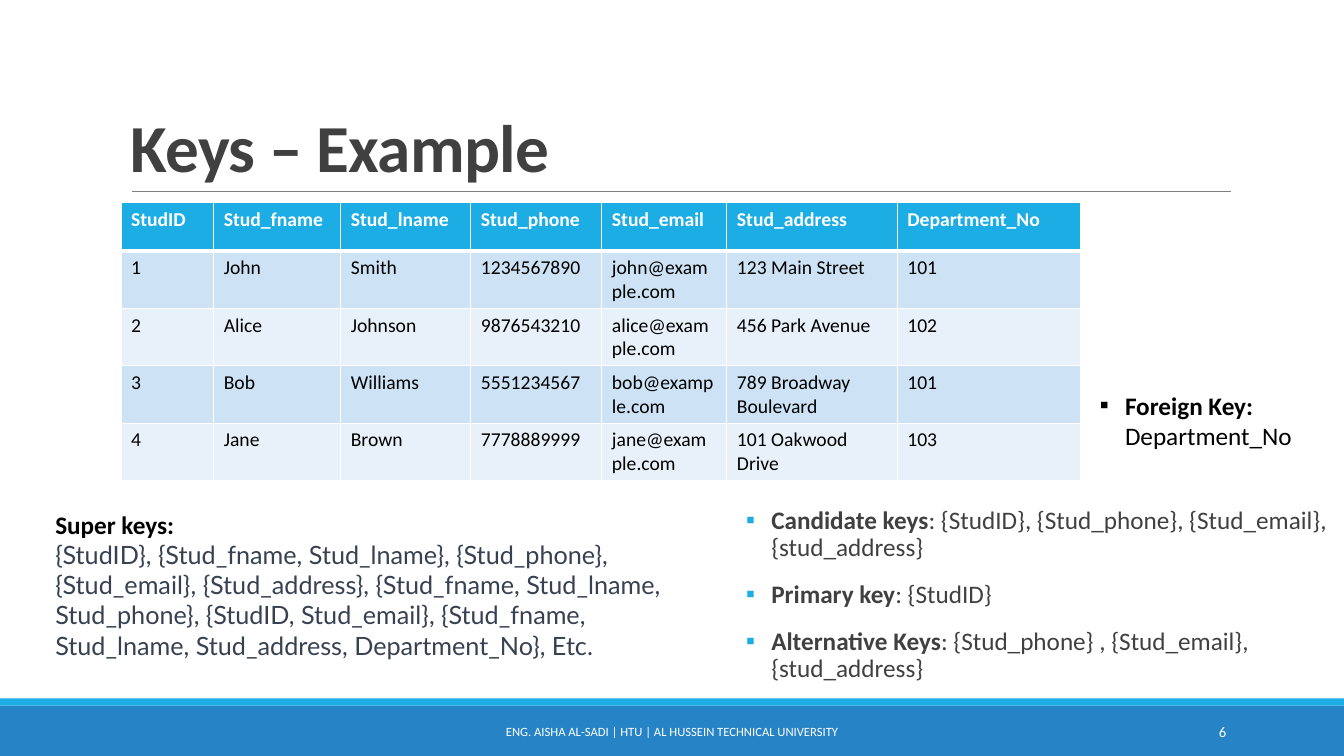
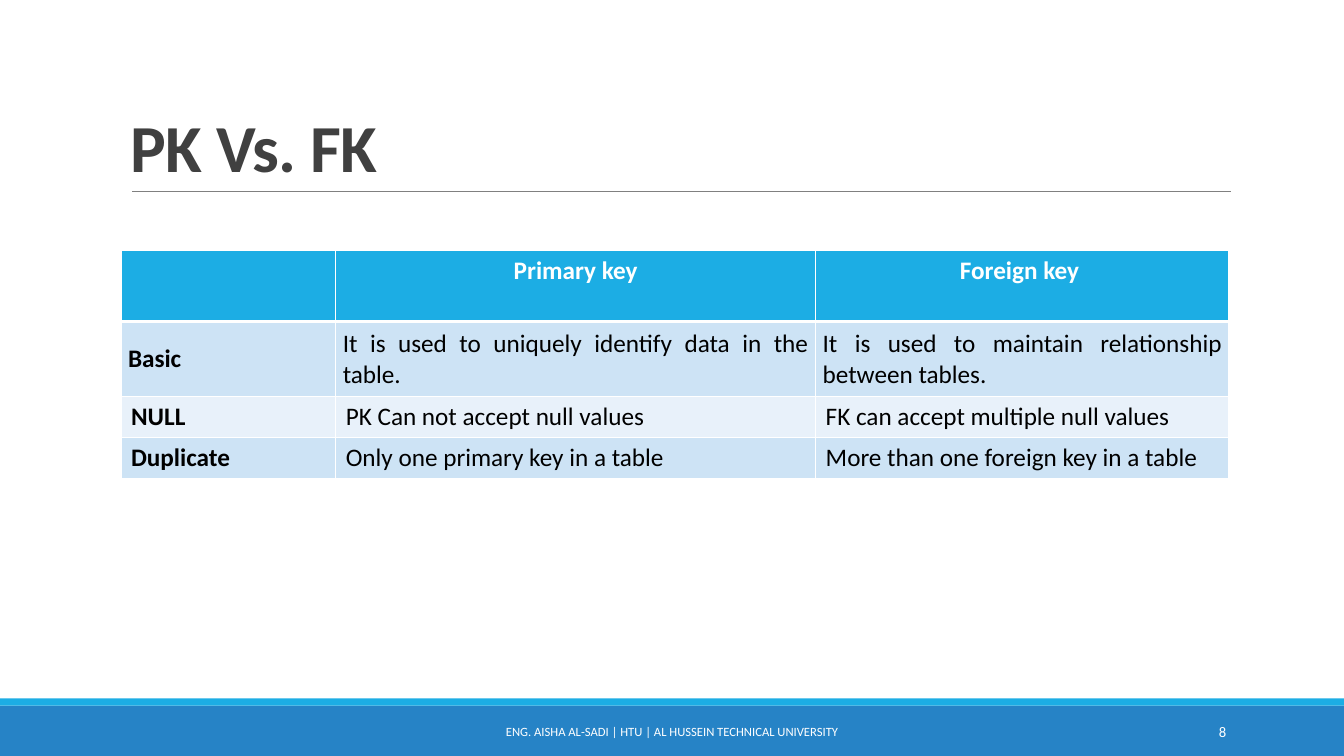
from lxml.etree import SubElement
from pptx import Presentation
from pptx.dml.color import RGBColor
from pptx.enum.shapes import MSO_CONNECTOR as Connector, MSO_SHAPE as Shape
from pptx.enum.text import MSO_ANCHOR as Anchor, PP_ALIGN as Align
from pptx.oxml import parse_xml
from pptx.oxml.ns import nsdecls, qn
from pptx.util import Inches, Pt

COLORS = {
    "blue": "2683C6",
    "cyan": "1CADE4",
    "rule": "808080",
    "title": "404040",
    "slate": "374151",
    "black": "000000",
    "white": "FFFFFF",
    "band_dark": "CDE3F5",
    "band_light": "E8F1FA",
}
FONT = "Calibri"
FOOTER = "ENG. AISHA AL-SADI | HTU | AL HUSSEIN TECHNICAL UNIVERSITY"
WIDTH, HEIGHT = 13.33, 7.5


def color(name):
    return RGBColor.from_string(COLORS[name])


def add_span(para, text, size=18, font=FONT, fill="black", bold=False, tracking=None):
    span = para.add_run()
    span.text = text
    span.font.size = Pt(size)
    span.font.name = font
    span.font.bold = bold
    span.font.color.rgb = color(fill)
    if tracking is not None:
        span._r.get_or_add_rPr().set("spc", str(int(tracking * 100)))


def add_bullet(para, fill):
    props = para._p.get_or_add_pPr()
    props.set("marL", str(Inches(0.25)))
    props.set("indent", str(Inches(-0.25)))
    tint = SubElement(props, qn("a:buClr"))
    SubElement(tint, qn("a:srgbClr")).set("val", COLORS[fill])
    SubElement(props, qn("a:buFont")).set("typeface", FONT)
    SubElement(props, qn("a:buChar")).set("char", "▪")


def add_text(page, box, paras, anchor=Anchor.TOP, align=Align.LEFT, side_inset=0.1,
             line=None, before=None, after=None, bullet=None, **style):
    frame = page.shapes.add_textbox(*map(Inches, box)).text_frame
    frame.word_wrap = True
    frame.vertical_anchor = anchor
    frame.margin_left = frame.margin_right = Inches(side_inset)
    for index, spans in enumerate(paras):
        para = frame.add_paragraph() if index else frame.paragraphs[0]
        para.alignment = align
        if line:
            para.line_spacing = line
        if before is not None:
            para.space_before, para.space_after = Pt(before), Pt(after)
        if bullet:
            add_bullet(para, bullet)
        for text, changes in spans:
            add_span(para, text, **{**style, **changes})


def add_band(page, box, fill):
    band = page.shapes.add_shape(Shape.RECTANGLE, *map(Inches, box))
    band.shadow.inherit = False
    band.fill.solid()
    band.fill.fore_color.rgb = color(fill)
    band.line.fill.background()


def add_rule(page, left, right, top):
    rule = page.shapes.add_connector(Connector.STRAIGHT, *map(Inches, (left, top, right, top)))
    rule.line.color.rgb = color("rule")
    rule.line.width = Pt(0.5)
    SubElement(rule._element.spPr, qn("a:effectLst"))


def add_frame(page, title, number):
    add_band(page, (0, 7, WIDTH, 0.5), "blue")
    add_band(page, (0, 6.93, WIDTH, 0.07), "cyan")
    add_rule(page, 1.31, 12.21, 1.9)
    add_text(page, (1.2, 0.31, 11, 1.59), [[(title, {})]], anchor=Anchor.BOTTOM,
             line=0.85, size=48, fill="title", bold=True, tracking=-0.5)
    add_text(page, (4.03, 7.06, 5.27, 0.4), [[(FOOTER, {})]], anchor=Anchor.MIDDLE,
             align=Align.CENTER, size=9, fill="white")
    add_text(page, (10.83, 7.06, 1.43, 0.4), [[(number, {})]], anchor=Anchor.MIDDLE,
             align=Align.RIGHT, size=10.5, fill="white")


def add_borders(cell, bottom):
    props = cell._tc.get_or_add_tcPr()
    for index, (side, width) in enumerate((("L", 1), ("R", 1), ("T", 1), ("B", bottom))):
        props.insert(index, parse_xml(
            f'<a:ln{side} {nsdecls("a")} w="{Pt(width)}"><a:solidFill>'
            f'<a:srgbClr val="{COLORS["white"]}"/></a:solidFill></a:ln{side}>'))


def add_table(page, left, top, columns, heights, rows, size, header_align=Align.LEFT,
              bold_labels=False):
    box = (left, top, sum(columns), sum(heights))
    table = page.shapes.add_table(len(rows), len(columns), *map(Inches, box)).table
    for column, width in zip(table.columns, columns):
        column.width = Inches(width)
    for row, height in zip(table.rows, heights):
        row.height = Inches(height)
    for r, texts in enumerate(rows):
        header = r == 0
        fill = "cyan" if header else ("band_light", "band_dark")[r % 2]
        for c, text in enumerate(texts):
            cell = table.cell(r, c)
            cell.fill.solid()
            cell.fill.fore_color.rgb = color(fill)
            add_borders(cell, 3 if header or r == 1 and False else 1)
            para = cell.text_frame.paragraphs[0]
            para.alignment = header_align if header else Align.LEFT
            if text:
                add_span(para, text, size=size, fill="white" if header else "black",
                         bold=header or bold_labels and c == 0)
    return table


def build_keys_example(page):
    add_frame(page, "Keys – Example", "6")
    rows = [
        ("StudID", "Stud_fname", "Stud_lname", "Stud_phone", "Stud_email", "Stud_address",
         "Department_No"),
        ("1", "John", "Smith", "1234567890", "john@example.com", "123 Main Street", "101"),
        ("2", "Alice", "Johnson", "9876543210", "alice@example.com", "456 Park Avenue", "102"),
        ("3", "Bob", "Williams", "5551234567", "bob@example.com", "789 Broadway Boulevard",
         "101"),
        ("4", "Jane", "Brown", "7778889999", "jane@example.com", "101 Oakwood Drive", "103"),
    ]
    add_table(page, 1.2, 2.01, (0.92, 1.26, 1.29, 1.3, 1.24, 1.69, 1.82),
              [0.48] + [0.57] * 4, rows, size=14)
    strong = {"bold": True}
    keys = [
        ("Candidate keys", ": {StudID}, {Stud_phone}, {Stud_email}, {stud_address}"),
        ("Primary key", ": {StudID}"),
        ("Alternative Keys", ": {Stud_phone} , {Stud_email}, {stud_address}"),
    ]
    add_text(page, (7.4, 4.99, 5.93, 1.9), [[(name, strong), (value, {})] for name, value in keys],
             side_inset=0, line=0.9, before=12, after=2, bullet="cyan", fill="title")
    super_keys = (
        "{StudID}, {Stud_fname, Stud_lname}, {Stud_phone}, {Stud_email}, {Stud_address}, "
        "{Stud_fname, Stud_lname, Stud_phone}, {StudID, Stud_email}, "
        "{Stud_fname, Stud_lname, Stud_address, Department_No}, Etc.")
    add_text(page, (0.45, 5, 6.58, 1.92),
             [[("Super keys:", strong)], [(super_keys, {"font": "Lato", "fill": "slate"})]])
    add_text(page, (10.81, 3.82, 2.5, 0.71),
             [[("Foreign Key: ", strong), ("Department_No", {})]], bullet="black")


def build_key_comparison(page):
    add_frame(page, "PK Vs. FK", "8")
    rows = [
        ("", "Primary key", "Foreign key "),
        ("Basic", "It is used to uniquely identify data in the table.",
         "It is used to maintain relationship between tables."),
        ("NULL", "PK Can not accept null values", "FK can accept multiple null values"),
        ("Duplicate", "Only one primary key in a table",
         "More than one foreign key in a table"),
    ]
    table = add_table(page, 1.2, 2.48, (2.13, 4.76, 4.1), (0.71, 0.74, 0.41, 0.41), rows,
                      size=18, header_align=Align.CENTER, bold_labels=True)
    for cell in table.rows[1].cells:
        cell.margin_left = cell.margin_right = Inches(0.07)
        cell.margin_top = cell.margin_bottom = Inches(0.07)
        cell.text_frame.paragraphs[0].alignment = Align.JUSTIFY
    table.cell(1, 0).vertical_anchor = Anchor.MIDDLE


def main():
    deck = Presentation()
    deck.slide_width, deck.slide_height = Inches(WIDTH), Inches(HEIGHT)
    for build in (build_keys_example, build_key_comparison):
        build(deck.slides.add_slide(deck.slide_layouts[6]))
    deck.save("out.pptx")


if __name__ == "__main__":
    main()
